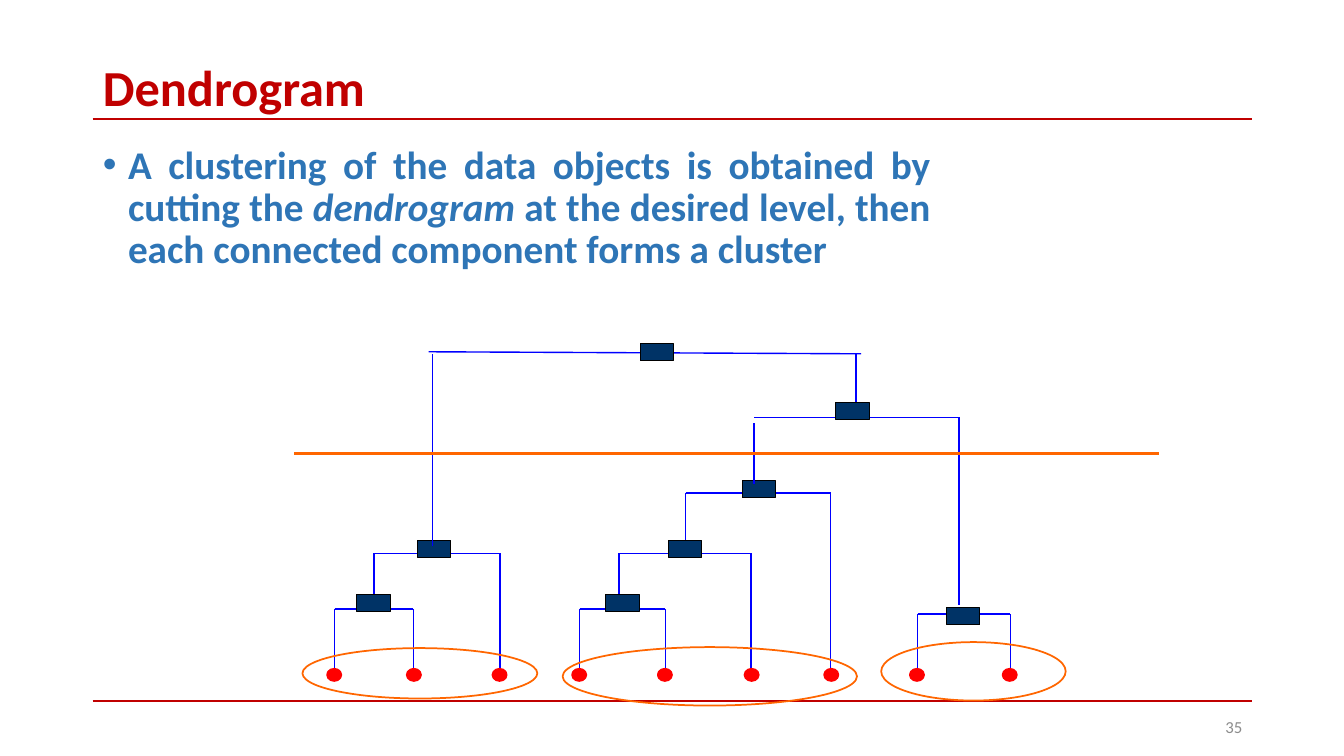
from dataclasses import dataclass
from pptx import Presentation
from pptx import util as u
from pptx.dml.color import RGBColor
from pptx.enum import shapes, text
from pptx.oxml.ns import qn
from lxml import etree

RED, BLUE, NAVY, ORANGE = "C00000", "0000FF", "003366", "FF6600"
RECT, OVAL = shapes.MSO_SHAPE.RECTANGLE, shapes.MSO_SHAPE.OVAL
BASE = 6.7  # height of the leaves


@dataclass
class Line:
    x1: float
    y1: float
    x2: float
    y2: float
    color: str = BLUE
    width: float = 1


@dataclass
class Merge:
    """Bracket joining two branches at height y."""
    left: float
    right: float
    y: float
    foot: float = BASE  # lower end of the left leg

    def lines(self) -> list[Line]:
        return [Line(self.left, self.y, self.left, self.foot),
                Line(self.left, self.y, self.right, self.y),
                Line(self.right, self.y, self.right, BASE)]


@dataclass
class Mark:
    x: float
    y: float
    w: float
    h: float
    kind: int
    fill: str | None
    edge: str
    width: float


def node(x: float, y: float) -> Mark:
    return Mark(x, y, 0.33, 0.17, RECT, NAVY, "000000", 0.75)


def leaf(x: float) -> Mark:
    return Mark(x, 6.64, 0.13, 0.11, OVAL, "FF0000", "FF0000", 2)


def ring(x: float, y: float, w: float, h: float) -> Mark:
    return Mark(x, y, w, h, OVAL, None, ORANGE, 1.25)


def paint(target, color: str) -> None:
    target.rgb = RGBColor.from_string(color)


def apply(target, values: dict) -> None:
    for name, value in values.items():
        setattr(target, name, value)


def draw_line(slide, line: Line) -> None:
    ends = map(u.Inches, (line.x1, line.y1, line.x2, line.y2))
    link = slide.shapes.add_connector(shapes.MSO_CONNECTOR.STRAIGHT, *ends)
    paint(link.line.color, line.color)
    link.line.width = u.Pt(line.width)
    etree.SubElement(link._element.spPr, qn("a:effectLst"))


def draw_mark(slide, mark: Mark) -> None:
    box = map(u.Inches, (mark.x, mark.y, mark.w, mark.h))
    shape = slide.shapes.add_shape(mark.kind, *box)
    shape.shadow.inherit = False
    if mark.fill:
        shape.fill.solid()
        paint(shape.fill.fore_color, mark.fill)
    else:
        shape.fill.background()
    paint(shape.line.color, mark.edge)
    shape.line.width = u.Pt(mark.width)


def write(shape, box: tuple, runs: list[tuple[str, dict]], color: str,
          frame: dict, para: dict, font: dict):
    names = ("left", "top", "width", "height")
    apply(shape, dict(zip(names, map(u.Inches, box))))
    apply(shape.text_frame, {"word_wrap": True,
                             "auto_size": text.MSO_AUTO_SIZE.NONE, **frame})
    first = shape.text_frame.paragraphs[0]
    apply(first, {"space_before": u.Pt(0), **para})
    for words, extra in runs:
        run = first.add_run()
        run.text = words
        apply(run.font, {"name": "Calibri", **font, **extra})
        paint(run.font.color, color)
    return first


RULES = [Line(0.92, y, 12.42, y, RED, 1.5) for y in (1.18, 6.95)]
MERGES = [Merge(3.32, 4.1, 6.04), Merge(5.75, 6.6, 6.04),
          Merge(9.1, 10.02, 6.09), Merge(3.71, 4.96, 5.49, 6.04),
          Merge(6.14, 7.45, 5.49, 6.04), Merge(6.8, 8.24, 4.89, 5.49)]
SPECKS = [Line(6.07, 5.49, 6.07, 5.49), Line(4.76, 3.58, 4.76, 3.58)]
LEAVES = [leaf(x) for x in (3.25, 4.04, 4.89, 5.68, 6.53,
                            7.39, 8.18, 9.03, 9.95)]
NODES = [node(3.54, 5.9), node(4.14, 5.36), node(6.01, 5.9),
         node(6.63, 5.36), node(7.36, 4.77)]
UPPER = [Line(7.48, 4.2, 7.48, 4.8), Line(9.51, 6, 9.51, 4.14),
         Line(9.51, 4.14, 7.48, 4.14), Line(8.49, 3.51, 8.49, 4.16),
         Line(8.54, 3.51, 4.25, 3.49), Line(4.29, 5.42, 4.29, 3.51)]
TOPS = [node(6.35, 3.41), node(8.29, 3.99), node(9.39, 6.03)]
CUT = Line(2.92, 4.5, 11.5, 4.5, ORANGE, 2)
RINGS = [ring(3, 6.43, 2.33, 0.5), ring(5.58, 6.42, 2.92, 0.58),
         ring(8.74, 6.37, 1.83, 0.58)]


def main() -> None:
    deck = Presentation()
    deck.slide_width, deck.slide_height = u.Inches(13.33), u.Inches(7.5)
    slide = deck.slides.add_slide(deck.slide_layouts[1])
    middle, align = text.MSO_ANCHOR.MIDDLE, text.PP_ALIGN

    # Title, statement and page number
    write(slide.shapes.title, (0.92, 0.61, 11.5, 0.58), [("Dendrogram", {})],
          RED, {"vertical_anchor": middle},
          {"alignment": align.LEFT, "line_spacing": 0.9},
          {"size": u.Pt(36), "bold": True})
    body = write(
        slide.placeholders[1], (0.92, 1.39, 8.41, 1.41),
        [("A clustering of the data objects is obtained by cutting the ", {}),
         ("dendrogram", {"italic": True}),
         (" at the desired level, then each connected component forms "
          "a cluster", {})],
        "2E75B6", {"vertical_anchor": text.MSO_ANCHOR.TOP},
        {"alignment": align.JUSTIFY, "line_spacing": 0.9},
        {"size": u.Pt(28), "bold": True})
    props = body._p.get_or_add_pPr()
    props.set("marL", str(u.Inches(0.25)))
    props.set("indent", str(u.Inches(-0.25)))
    page = slide.shapes.add_textbox(0, 0, 0, 0)
    write(page, (9.42, 7.01, 3, 0.4), [("35", {})], "8C8C8C",
          {"vertical_anchor": middle}, {"alignment": align.RIGHT},
          {"size": u.Pt(12)})

    # Lower tree
    low = [line for merge in MERGES for line in merge.lines()]
    for line in RULES + low + SPECKS:
        draw_line(slide, line)
    for mark in LEAVES + NODES:
        draw_mark(slide, mark)

    # Upper tree, cut and clusters
    for line in UPPER:
        draw_line(slide, line)
    for mark in TOPS:
        draw_mark(slide, mark)
    draw_line(slide, CUT)
    for mark in RINGS:
        draw_mark(slide, mark)
    deck.save("out.pptx")


if __name__ == "__main__":
    main()
